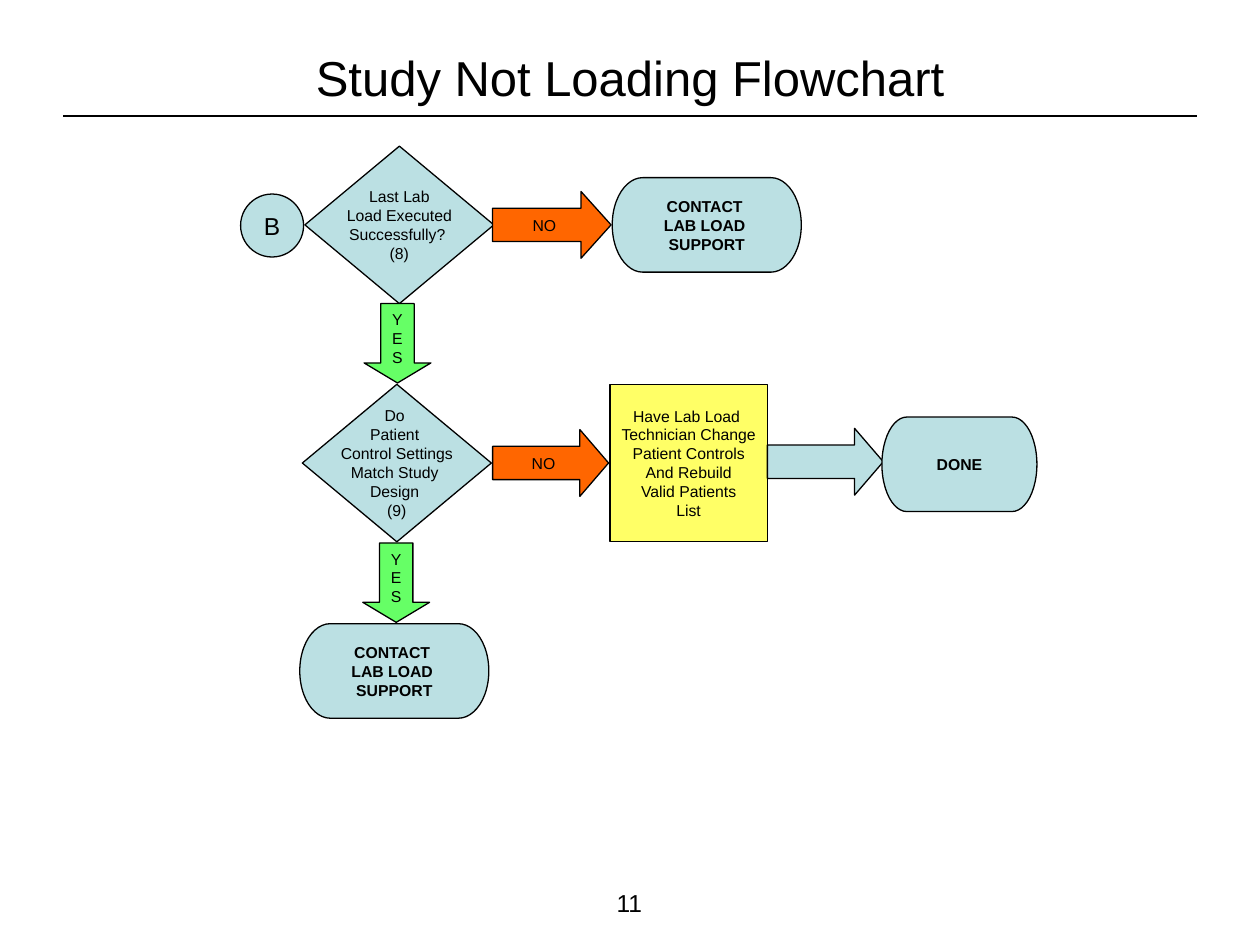
from dataclasses import dataclass

from lxml import etree
from pptx import Presentation
from pptx.dml.color import RGBColor
from pptx.enum.shapes import MSO_CONNECTOR, MSO_SHAPE
from pptx.enum.text import MSO_ANCHOR, PP_ALIGN
from pptx.oxml.ns import qn
from pptx.util import Inches, Pt

TERMINATOR = MSO_SHAPE.FLOWCHART_TERMINATOR
DECISION = MSO_SHAPE.FLOWCHART_DECISION
PROCESS = MSO_SHAPE.FLOWCHART_PROCESS
CIRCLE = MSO_SHAPE.FLOWCHART_CONNECTOR
RIGHT_ARROW = MSO_SHAPE.RIGHT_ARROW
DOWN_ARROW = MSO_SHAPE.DOWN_ARROW
STRAIGHT = MSO_CONNECTOR.STRAIGHT
CENTER = PP_ALIGN.CENTER
MIDDLE = MSO_ANCHOR.MIDDLE
TOP = MSO_ANCHOR.TOP


@dataclass(frozen=True)
class Theme:
    """Colours, font and sizes shared by the whole slide."""

    font: str = "Arial"
    ink: RGBColor = RGBColor(0x00, 0x00, 0x00)
    blue: RGBColor = RGBColor(0xBB, 0xE0, 0xE3)
    yellow: RGBColor = RGBColor(0xFF, 0xFF, 0x66)
    orange: RGBColor = RGBColor(0xFF, 0x66, 0x00)
    green: RGBColor = RGBColor(0x66, 0xFF, 0x66)
    title_size: Pt = Pt(28)
    label_size: Pt = Pt(14)
    step_size: Pt = Pt(9)
    rule_width: Pt = Pt(1.25)
    outline_width: Pt = Pt(0.75)


THEME = Theme()
CONTACT_TEXT = "CONTACT \nLAB LOAD \nSUPPORT"
YES_TEXT = "Y\vE\vS"
CONTACT_SIZE = (1.5, 0.75)
DONE_SIZE = (1.23, 0.75)
DECISION_SIZE = (1.5, 1.25)
PROCESS_SIZE = (1.25, 1.25)
CIRCLE_SIZE = (0.5, 0.5)
ARROW_THICKNESS = 0.53
YES_LENGTH = 0.63


def write_text(text_frame, text, size, bold=False, anchor=MIDDLE, wrap=False):
    """Fill a text frame with centred paragraphs, one per line."""
    text_frame.text = text
    text_frame.word_wrap = wrap
    text_frame.vertical_anchor = anchor
    for paragraph in text_frame.paragraphs:
        paragraph.alignment = CENTER
        paragraph.font.name = THEME.font
        paragraph.font.size = size
        paragraph.font.bold = bold
        paragraph.font.color.rgb = THEME.ink


def add_title(slide, text):
    """Place the slide title and the rule below it."""
    title = slide.shapes.title
    title.left, title.top = Inches(0.5), Inches(0.3)
    title.width, title.height = Inches(9), Inches(0.62)
    write_text(title.text_frame, text, THEME.title_size, wrap=True)
    rule = slide.shapes.add_connector(
        STRAIGHT, Inches(0.5), Inches(0.92), Inches(9.5), Inches(0.92))
    rule.line.color.rgb = THEME.ink
    rule.line.width = THEME.rule_width
    etree.SubElement(rule._element.spPr, qn("a:effectLst"))


def add_step(slide, kind, position, size, text="", fill=THEME.blue,
             text_size=THEME.step_size, bold=False):
    """Add one outlined flowchart shape with its wording."""
    shape = slide.shapes.add_shape(
        kind, *(Inches(value) for value in (*position, *size)))
    shape.shadow.inherit = False
    shape.fill.solid()
    shape.fill.fore_color.rgb = fill
    shape.line.color.rgb = THEME.ink
    shape.line.width = THEME.outline_width
    if text:
        write_text(shape.text_frame, text, text_size, bold)
    return shape


def add_right_arrow(slide, position, length, head, text="", fill=THEME.orange):
    """Add a block arrow pointing to the next step on the right."""
    arrow = add_step(slide, RIGHT_ARROW, position, (length, ARROW_THICKNESS), text, fill)
    arrow.adjustments[1] = head


def add_yes_arrow(slide, position):
    """Add a green block arrow pointing down to the next step."""
    arrow = add_step(slide, DOWN_ARROW, position, (ARROW_THICKNESS, YES_LENGTH),
                     YES_TEXT, THEME.green)
    arrow.adjustments[1] = 0.3
    arrow.text_frame.margin_left = arrow.text_frame.margin_right = Inches(0.1)


def add_page_number(slide, number):
    """Add the page number at the foot of the slide."""
    box = slide.shapes.add_textbox(Inches(3.83), Inches(7), Inches(2.33), Inches(0.35))
    write_text(box.text_frame, number, THEME.label_size, anchor=TOP, wrap=True)


def main():
    """Build the flowchart slide and save it."""
    presentation = Presentation()
    presentation.slide_width, presentation.slide_height = Inches(10), Inches(7.5)
    slide = presentation.slides.add_slide(presentation.slide_layouts[5])
    add_title(slide, "Study Not Loading Flowchart")

    add_step(slide, CIRCLE, (1.91, 1.54), CIRCLE_SIZE, "B", text_size=THEME.label_size)
    add_step(slide, DECISION, (2.42, 1.16), DECISION_SIZE,
             "Last Lab\nLoad Executed\nSuccessfully? \n(8)")
    add_right_arrow(slide, (3.91, 1.52), 0.94, 0.45, "NO")
    add_step(slide, TERMINATOR, (4.86, 1.41), CONTACT_SIZE, CONTACT_TEXT, bold=True)
    add_yes_arrow(slide, (2.89, 2.41))

    add_step(slide, DECISION, (2.4, 3.05), DECISION_SIZE,
             "Do \nPatient \nControl Settings\nMatch Study \nDesign \n(9)")
    add_right_arrow(slide, (3.91, 3.41), 0.92, 0.43, "NO")
    add_step(slide, PROCESS, (4.84, 3.05), PROCESS_SIZE,
             "Have Lab Load \nTechnician Change\nPatient Controls\n"
             "And Rebuild\nValid Patients\nList", THEME.yellow)
    add_right_arrow(slide, (6.09, 3.4), 0.92, 0.43, fill=THEME.blue)
    add_step(slide, TERMINATOR, (7, 3.31), DONE_SIZE, "DONE", bold=True)
    add_yes_arrow(slide, (2.88, 4.31))

    add_step(slide, TERMINATOR, (2.38, 4.95), CONTACT_SIZE, CONTACT_TEXT, bold=True)
    add_page_number(slide, "11")
    presentation.save("out.pptx")


if __name__ == "__main__":
    main()
